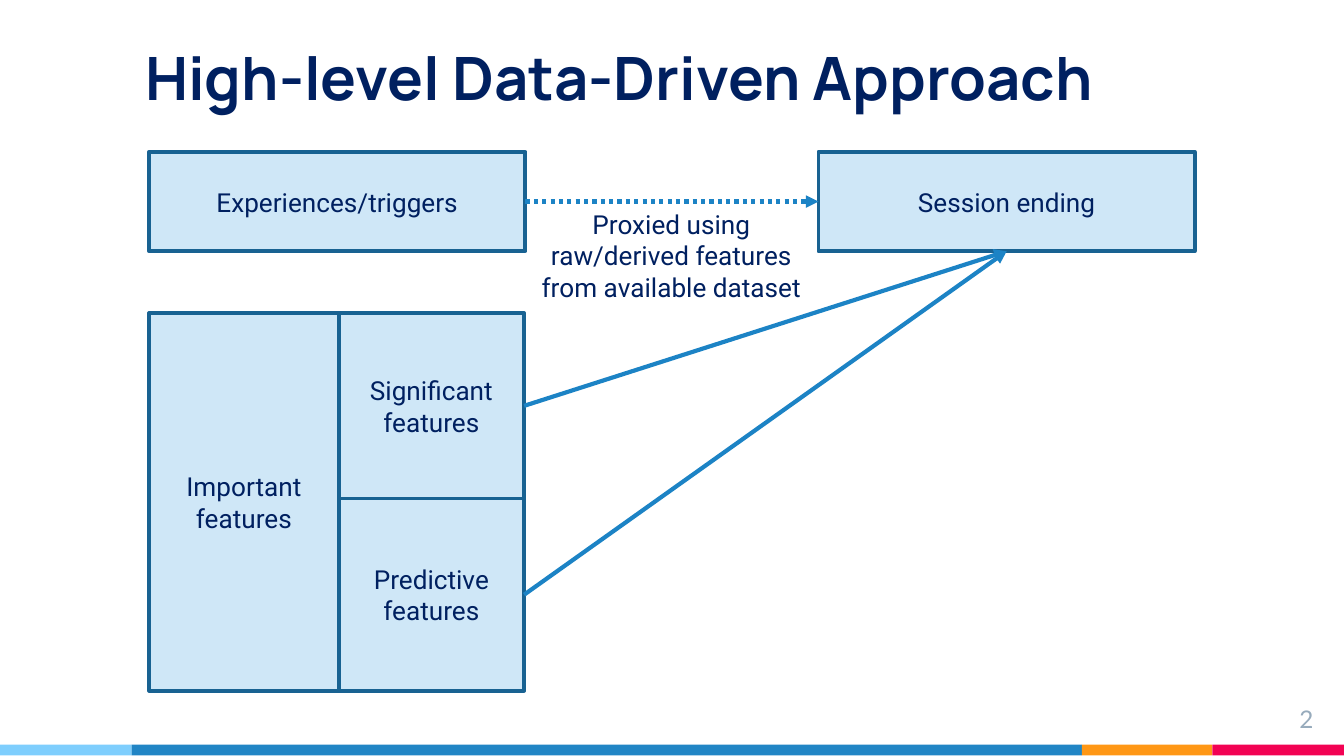
"""Builds the slide on the high-level data-driven approach."""
from lxml.etree import SubElement
from pptx import Presentation
from pptx.dml.color import RGBColor
from pptx.enum.dml import MSO_LINE
from pptx.enum.shapes import MSO_CONNECTOR, MSO_SHAPE
from pptx.enum.text import MSO_ANCHOR, PP_ALIGN
from pptx.oxml.ns import qn
from pptx.util import Inches, Pt


def color(value):
    """Turn a hex string into a colour."""
    return RGBColor.from_string(value)


def write(shape, text, size, font, hue, align, anchor, inset=0.1):
    """Put one formatted paragraph in a shape."""
    frame = shape.text_frame
    frame.word_wrap = True
    frame.vertical_anchor = anchor
    frame.margin_left = frame.margin_right = Inches(0.1)
    frame.margin_top = frame.margin_bottom = Inches(inset)
    paragraph = frame.paragraphs[0]
    paragraph.text = text
    paragraph.alignment = align
    paragraph.font.size = Pt(size)
    paragraph.font.name = font
    paragraph.font.color.rgb = color(hue)
    return paragraph


NAVY = "002060"

presentation = Presentation()
presentation.slide_width = Inches(10)
presentation.slide_height = Inches(10) * 9 // 16
slide = presentation.slides.add_slide(presentation.slide_layouts[5])
shapes = slide.shapes

title = shapes.title
title.left, title.top = Inches(0.98), Inches(0)
title.width, title.height = Inches(8.04), Inches(0.94)
heading = write(title, "High-level Data-Driven Approach", 32, "Manrope", NAVY,
                PP_ALIGN.LEFT, MSO_ANCHOR.BOTTOM)
heading.font.bold = True

left = 0
for width, fill in [(0.98, "7ECEFD"), (7.07, "2185C5"), (0.97, "FF9715"), (0.98, "F20253")]:
    stripe = shapes.add_shape(MSO_SHAPE.RECTANGLE, Inches(left), Inches(5.54),
                              Inches(width), Inches(0.08))
    stripe.shadow.inherit = False
    stripe.fill.solid()
    stripe.fill.fore_color.rgb = color(fill)
    stripe.line.fill.background()
    left += width

number = shapes.add_textbox(Inches(9.27), Inches(5.14), Inches(0.6), Inches(0.34))
write(number, "2", 13, "Lato", "97ABBC", PP_ALIGN.RIGHT, MSO_ANCHOR.TOP)

boxes = {}
for text, left, top, width, height in [
    ("Experiences/triggers", 1.11, 1.13, 2.8, 0.74),
    ("Important features", 1.11, 2.33, 1.41, 2.81),
    ("Predictive features", 2.52, 3.71, 1.38, 1.43),
    ("Significant features", 2.52, 2.33, 1.38, 1.38),
    ("Session ending", 6.09, 1.13, 2.8, 0.74),
]:
    box = shapes.add_shape(MSO_SHAPE.RECTANGLE, Inches(left), Inches(top),
                           Inches(width), Inches(height))
    box.shadow.inherit = False
    box.fill.solid()
    box.fill.fore_color.rgb = color("CFE7F7")
    box.line.color.rgb = color("186292")
    box.line.width = Pt(2)
    write(box, text, 14, "Roboto", NAVY, PP_ALIGN.CENTER, MSO_ANCHOR.MIDDLE, 0.05)
    boxes[text] = box

note = shapes.add_textbox(Inches(3.9), Inches(1.5), Inches(2.19), Inches(0.81))
write(note, "Proxied using raw/derived features from available dataset", 14, "Roboto", NAVY,
      PP_ALIGN.CENTER, MSO_ANCHOR.TOP, 0.05)

for source, end_side, dash in [
    ("Experiences/triggers", 1, MSO_LINE.ROUND_DOT),
    ("Significant features", 2, None),
    ("Predictive features", 2, None),
]:
    arrow = shapes.add_connector(MSO_CONNECTOR.STRAIGHT, 0, 0, 0, 0)
    arrow.begin_connect(boxes[source], 3)
    arrow.end_connect(boxes["Session ending"], end_side)
    arrow.line.color.rgb = color("1C83C5")
    arrow.line.width = Pt(2.25)
    if dash:
        arrow.line.dash_style = dash
    properties = arrow._element.spPr
    SubElement(properties.find(qn("a:ln")), qn("a:tailEnd"), type="triangle")
    SubElement(properties, qn("a:effectLst"))

presentation.save("out.pptx")
